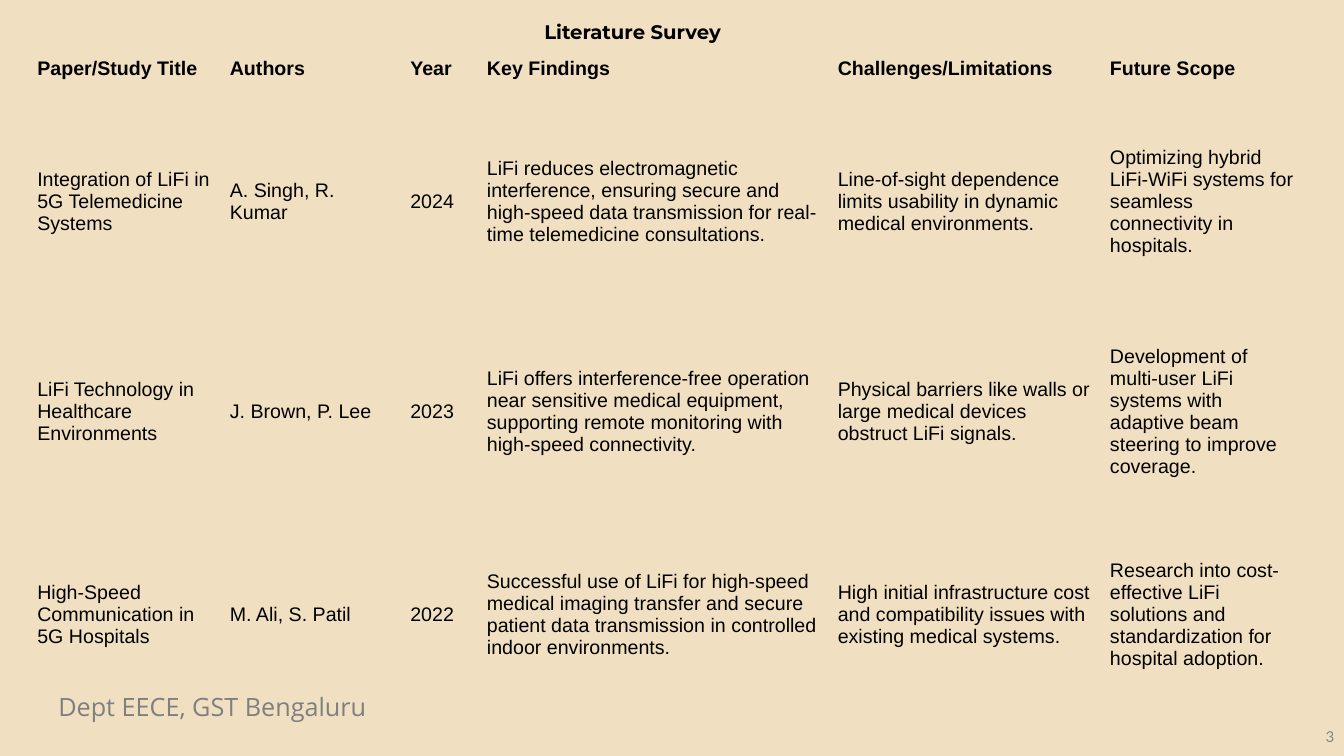
from dataclasses import dataclass

from pptx import Presentation
from pptx.dml.color import RGBColor
from pptx.enum.text import MSO_ANCHOR, MSO_AUTO_SIZE, PP_ALIGN
from pptx.oxml.ns import qn
from pptx.util import Inches, Pt

LEFT, CENTER, RIGHT = PP_ALIGN.LEFT, PP_ALIGN.CENTER, PP_ALIGN.RIGHT
TOP, MIDDLE = MSO_ANCHOR.TOP, MSO_ANCHOR.MIDDLE
GROW, FIXED = MSO_AUTO_SIZE.SHAPE_TO_FIT_TEXT, MSO_AUTO_SIZE.NONE
NO_GRID_STYLE = "{2D5ABB26-0587-4C30-8999-92F81FD0307C}"


@dataclass(frozen=True)
class TextStyle:
    name: str
    size: int
    color: str
    bold: bool = False


@dataclass(frozen=True)
class Theme:
    background: str = "F0E0C1"
    title: TextStyle = TextStyle("Montserrat", 14, "000000", True)
    header: TextStyle = TextStyle("Arial", 14, "000000", True)
    body: TextStyle = TextStyle("Arial", 14, "000000")
    footer: TextStyle = TextStyle("Open Sans", 18, "7F7F7F")
    number: TextStyle = TextStyle("Calibri", 12, "888888")


@dataclass(frozen=True)
class Label:
    text: str
    left: float
    top: float
    width: float
    height: float
    style: TextStyle
    alignment: PP_ALIGN = LEFT
    anchor: MSO_ANCHOR = TOP
    auto_size: MSO_AUTO_SIZE = GROW


@dataclass(frozen=True)
class Study:
    title: str
    authors: str
    year: str
    findings: str
    limitations: str
    future_scope: str

    def values(self) -> list[str]:
        return [self.title, self.authors, self.year,
                self.findings, self.limitations, self.future_scope]


THEME = Theme()

LABELS = [
    Label("Dept EECE, GST Bengaluru", 0.48, 6.81, 5.24, 0.4, THEME.footer),
    Label("3", 10.33, 7.1, 3, 0.4, THEME.number, RIGHT, MIDDLE, FIXED),
    Label("Literature Survey", 3.53, 0.15, 5.49, 0.34, THEME.title, CENTER),
]

HEADINGS = Study("Paper/Study Title", "Authors", "Year", "Key Findings",
                 "Challenges/Limitations", "Future Scope")
STUDIES = [
    Study(
        "Integration of LiFi in 5G Telemedicine Systems", "A. Singh, R. Kumar", "2024",
        "LiFi reduces electromagnetic interference, ensuring secure and high-speed data "
        "transmission for real-time telemedicine consultations.",
        "Line-of-sight dependence limits usability in dynamic medical environments.",
        "Optimizing hybrid LiFi-WiFi systems for seamless connectivity in hospitals.",
    ),
    Study(
        "LiFi Technology in Healthcare Environments", "J. Brown, P. Lee", "2023",
        "LiFi offers interference-free operation near sensitive medical equipment, "
        "supporting remote monitoring with high-speed connectivity.",
        "Physical barriers like walls or large medical devices obstruct LiFi signals.",
        "Development of multi-user LiFi systems with adaptive beam steering to improve "
        "coverage.",
    ),
    Study(
        "High-Speed Communication in 5G Hospitals", "M. Ali, S. Patil", "2022",
        "Successful use of LiFi for high-speed medical imaging transfer and secure patient "
        "data transmission in controlled indoor environments.",
        "High initial infrastructure cost and compatibility issues with existing medical "
        "systems.",
        "Research into cost-effective LiFi solutions and standardization for hospital "
        "adoption.",
    ),
]
COLUMN_WIDTHS = [1.91, 1.79, 0.76, 3.48, 2.7, 2.01]
ROW_HEIGHTS = [0.56, 2.09, 2.07, 1.96]


def set_attributes(target, values: dict) -> None:
    for name, value in values.items():
        setattr(target, name, value)


def write_text(text_frame, text: str, style: TextStyle, alignment: PP_ALIGN = LEFT) -> None:
    paragraph = text_frame.paragraphs[0]
    paragraph.alignment = alignment
    run = paragraph.add_run()
    run.text = text
    set_attributes(run.font, {"name": style.name, "size": Pt(style.size), "bold": style.bold})
    run.font.color.rgb = RGBColor.from_string(style.color)


def add_label(slide, label: Label) -> None:
    shape = slide.shapes.add_textbox(Inches(label.left), Inches(label.top),
                                     Inches(label.width), Inches(label.height))
    set_attributes(shape.text_frame, {
        "word_wrap": True,
        "auto_size": label.auto_size,
        "vertical_anchor": label.anchor,
    })
    write_text(shape.text_frame, label.text, label.style, label.alignment)


def add_survey_table(slide) -> None:
    rows = [HEADINGS, *STUDIES]
    frame = slide.shapes.add_table(len(rows), len(COLUMN_WIDTHS), Inches(0.3), Inches(0.4),
                                   Inches(sum(COLUMN_WIDTHS)), Inches(sum(ROW_HEIGHTS)))
    table = frame.table
    set_attributes(table, {"first_row": False, "horz_banding": False})
    next(frame.element.iter(qn("a:tableStyleId"))).text = NO_GRID_STYLE

    for column, width in zip(table.columns, COLUMN_WIDTHS):
        column.width = Inches(width)
    for row, height in zip(table.rows, ROW_HEIGHTS):
        row.height = Inches(height)

    cell_format = {
        "vertical_anchor": MIDDLE,
        "margin_left": Inches(0.07),
        "margin_right": Inches(0.07),
        "margin_top": Inches(0.03),
        "margin_bottom": Inches(0.03),
    }
    for row, study in zip(table.rows, rows):
        style = THEME.header if study is HEADINGS else THEME.body
        for cell, text in zip(row.cells, study.values()):
            set_attributes(cell, cell_format)
            cell.fill.background()
            write_text(cell.text_frame, text, style)


def main() -> None:
    presentation = Presentation()
    set_attributes(presentation, {"slide_width": Inches(13.33), "slide_height": Inches(7.5)})
    slide = presentation.slides.add_slide(presentation.slide_layouts[6])

    # Background
    slide.background.fill.solid()
    slide.background.fill.fore_color.rgb = RGBColor.from_string(THEME.background)

    # Survey table
    add_survey_table(slide)

    # Footer, page number and title
    for label in LABELS:
        add_label(slide, label)

    presentation.save("out.pptx")


if __name__ == "__main__":
    main()
